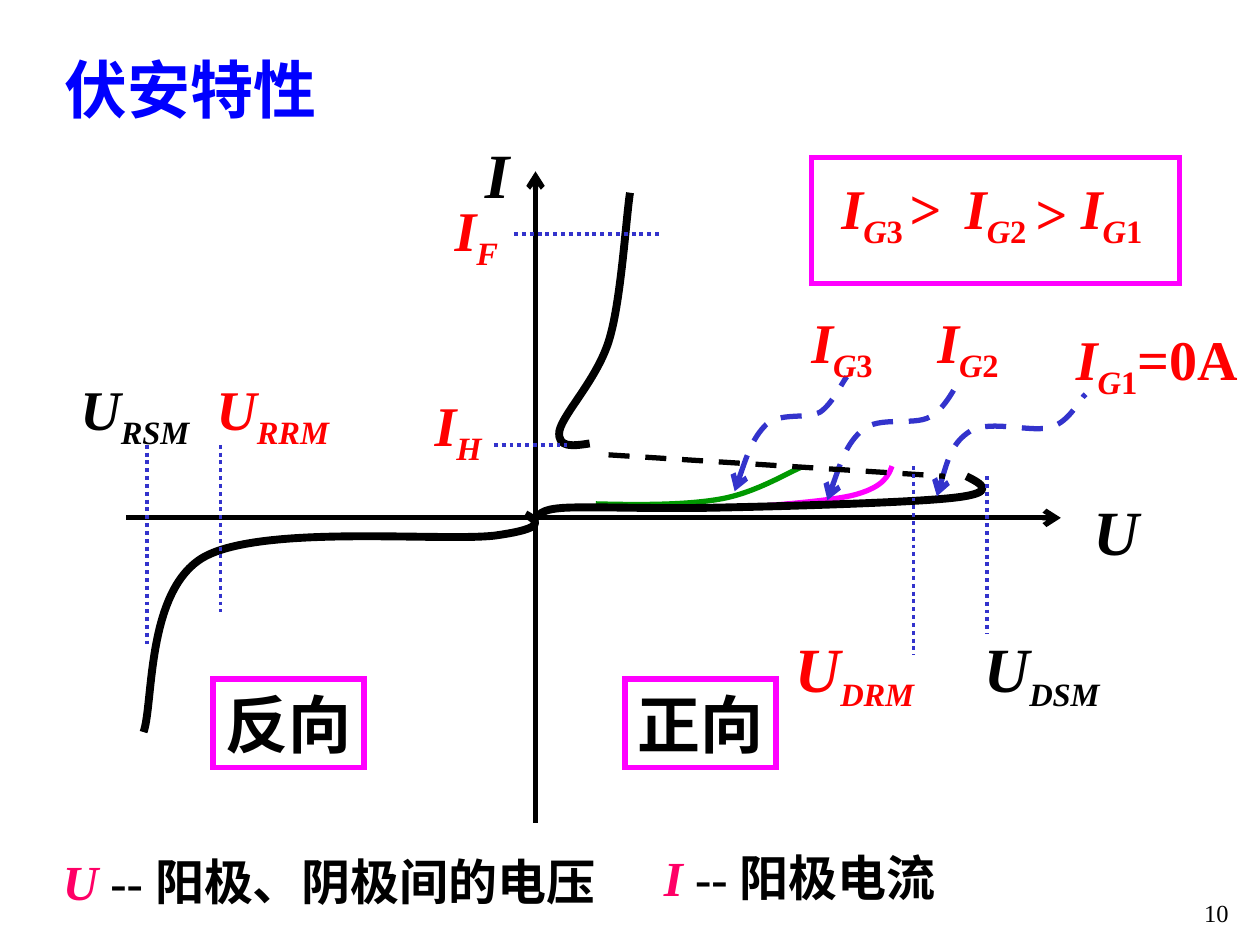
"""Draw the voltage-current curve of a thyristor."""
from dataclasses import dataclass
from math import cos, radians, sin
from typing import NamedTuple

from lxml import etree
from pptx import Presentation
from pptx import util as u
from pptx.dml.color import RGBColor
from pptx.enum import dml, shapes, text
from pptx.oxml import ns

HUES = {"black": "000000", "white": "FFFFFF", "red": "FF0000", "blue": "0000FF", "pink": "FF00FF",
        "rose": "FF0066", "green": "009900", "navy": "3333CC"}
DASH = dml.MSO_LINE.DASH
DOT = dml.MSO_LINE.ROUND_DOT
SLACK = 0.04


class Run(NamedTuple):
    word: str
    hue: str = "black"
    size: float = 32
    bold: bool = True
    slant: bool = False
    sub: bool = False


class Label(NamedTuple):
    box: tuple
    runs: list
    align: int = text.PP_ALIGN.LEFT


class Pen(NamedTuple):
    hue: str
    width: float
    dash: object = None
    end: str = ""


class Rule(NamedTuple):
    start: tuple
    stop: tuple
    pen: Pen


@dataclass
class Curve:
    pen: Pen
    points: list
    turn: float = 0
    mid: tuple = (0, 0)


def sym(main: str, sub: str = "", digit: str = "", tail: str = "", hue: str = "red",
        size: float = 32) -> list:
    runs = [Run(main, hue, size, slant=True), Run(sub, hue, slant=True, sub=True),
            Run(digit, hue, sub=True), Run(tail, hue)]
    return [run for run in runs if run.word]


def tint(hue: str) -> RGBColor:
    return RGBColor.from_string(HUES[hue])


def stroke(shape, pen: Pen) -> None:
    line = shape.line
    line.color.rgb = tint(pen.hue)
    for key, value in {"width": u.Pt(pen.width), "dash_style": pen.dash}.items():
        setattr(line, key, value)
    if pen.end:
        etree.SubElement(line._get_or_add_ln(), ns.qn("a:" + pen.end), type="arrow")


def write(shape, label: Label, wrap: bool = False) -> None:
    frame = shape.text_frame
    form = {"word_wrap": wrap, "vertical_anchor": text.MSO_ANCHOR.TOP,
            "auto_size": text.MSO_AUTO_SIZE.NONE if wrap else text.MSO_AUTO_SIZE.SHAPE_TO_FIT_TEXT}
    for key, value in form.items():
        setattr(frame, key, value)
    para = frame.paragraphs[0]
    para.alignment = label.align
    for item in label.runs:
        run = para.add_run()
        run.text = item.word
        form = {"name": "Times New Roman", "size": u.Pt(item.size),
                "bold": item.bold, "italic": item.slant}
        for key, value in form.items():
            setattr(run.font, key, value)
        run.font.color.rgb = tint(item.hue)
        if item.sub:
            run._r.get_or_add_rPr().set("baseline", "-25000")


def add_label(slide, label: Label) -> None:
    left, top, width, height = label.box
    box = (left, top, width + SLACK, height)
    write(slide.shapes.add_textbox(*map(u.Inches, box)), label)


def add_frame(slide, box: tuple):
    rect = slide.shapes.add_shape(shapes.MSO_SHAPE.RECTANGLE, *map(u.Inches, box))
    rect.shadow.inherit = False
    rect.fill.solid()
    rect.fill.fore_color.rgb = tint("white")
    stroke(rect, Pen("pink", 3))
    etree.SubElement(rect.line._get_or_add_ln(), ns.qn("a:miter"), lim="800000")
    return rect


def add_rule(slide, rule: Rule) -> None:
    line = slide.shapes.add_connector(shapes.MSO_CONNECTOR.STRAIGHT,
                                      *map(u.Inches, rule.start + rule.stop))
    stroke(line, rule.pen)
    etree.SubElement(line._element.spPr, ns.qn("a:effectLst"))


def add_curve(slide, curve: Curve) -> None:
    turn, (cx, cy) = radians(curve.turn), curve.mid
    spots = [(u.Inches(cx + (x - cx) * cos(turn) + (y - cy) * sin(turn)),
              u.Inches(cy - (x - cx) * sin(turn) + (y - cy) * cos(turn)))
             for x, y in curve.points]
    pen = slide.shapes.build_freeform(*spots[0], scale=1.0)
    shape = pen.add_line_segments(spots[1:], close=False).convert_to_shape()
    legs = list(shape._element.iter(ns.qn("a:lnTo")))
    for first, second, third in zip(legs[::3], legs[1::3], legs[2::3]):
        first.tag = ns.qn("a:cubicBezTo")
        for leg in (second, third):
            first.append(leg[0])
            leg.getparent().remove(leg)
    shape.rotation = curve.turn
    shape.shadow.inherit = False
    shape.fill.background()
    stroke(shape, curve.pen)


THICK = Pen("black", 4.5)
DOTS = Pen("navy", 2.25, DOT)
ARROW = Pen("navy", 3, DASH, "headEnd")
CURVES = [
    Curve(Pen("pink", 3), [(7.08, 3.7), (7.05, 3.78), (7.01, 3.86), (6.81, 3.92),
                           (6.62, 3.98), (6.07, 4.01), (5.92, 4.03)]),
    Curve(Pen("green", 3), [(4.73, 4), (5.09, 4.01), (5.46, 4.01), (5.73, 3.96),
                            (6, 3.91), (6.26, 3.75), (6.36, 3.71)], 15, (5.54, 3.86)),
    Curve(THICK, [(4.17, 4.08), (4.26, 4.13), (4.36, 4.19), (3.93, 4.25), (3.51, 4.3),
                  (2.09, 4.16), (1.62, 4.42), (1.16, 4.68), (1.22, 5.58), (1.14, 5.81)],
          355.8, (2.74, 4.9)),
    Curve(THICK, [(4.68, 3.52), (4.55, 3.54), (4.42, 3.56), (4.44, 3.42), (4.47, 3.28),
                  (4.75, 3), (4.84, 2.68), (4.93, 2.37), (4.97, 1.72), (5, 1.53)]),
    Curve(THICK, [(7.67, 3.78), (7.79, 3.84), (7.92, 3.91), (7.58, 3.95), (7.25, 3.99),
                  (6.18, 4.02), (5.67, 4.03), (5.15, 4.04), (4.74, 4.02), (4.5, 4.03),
                  (4.26, 4.04), (4.29, 4.1), (4.25, 4.11)]),
    Curve(ARROW, [(6.57, 3.97), (6.65, 3.74), (6.72, 3.52), (6.85, 3.41), (6.98, 3.3),
                  (7.25, 3.38), (7.38, 3.31), (7.5, 3.25), (7.58, 3.07), (7.62, 3.02)],
          20, (7.09, 3.5)),
    Curve(ARROW, [(7.44, 3.94), (7.5, 3.73), (7.56, 3.51), (7.71, 3.42), (7.87, 3.33),
                  (8.2, 3.44), (8.35, 3.39), (8.5, 3.34), (8.57, 3.17), (8.62, 3.13)],
          20, (8.01, 3.54)),
    Curve(ARROW, [(5.83, 3.9), (5.9, 3.69), (5.97, 3.48), (6.08, 3.37), (6.19, 3.27),
                  (6.4, 3.33), (6.51, 3.27), (6.61, 3.2), (6.68, 3.04), (6.72, 2.99)],
          20, (6.27, 3.44)),
]
RULES = [
    Rule((4.83, 3.61), (7.5, 3.78), Pen("black", 3, DASH)),
    Rule((4.25, 1.36), (4.25, 6.53), Pen("black", 3, end="headEnd")),
    Rule((1, 4.11), (8.42, 4.11), Pen("black", 3, end="tailEnd")),
    *[Rule((x, top), (x, foot), DOTS) for x, top, foot in
      [(1.17, 3.53, 5.11), (7.83, 3.78, 5.03), (1.75, 3.53, 4.86), (7.25, 3.7, 5.2)]],
    *[Rule((left, y), (right, y), DOTS) for left, right, y in
      [(3.92, 4.5, 3.53), (4.08, 5.25, 1.86)]],
]
LABELS = [
    Label((8.58, 3.86, 0.67, 0.7), sym("U", hue="black", size=36)),
    Label((3.75, 1.03, 0.39, 0.7), sym("I", hue="black", size=36)),
    Label((0.54, 2.92, 1.06, 0.71), sym("U", "RSM", hue="black")),
    Label((1.62, 2.92, 1.09, 0.71), sym("U", "RRM")),
    Label((7.71, 4.95, 1.11, 0.77), sym("U", "DSM", hue="black", size=36)),
    Label((6.21, 4.95, 1.14, 0.77), sym("U", "DRM", size=36)),
    Label((3.35, 3.05, 0.57, 0.71), sym("I", "H")),
    Label((3.51, 1.5, 0.54, 0.71), sym("I", "F")),
    Label((8.44, 2.53, 1.48, 0.71), sym("I", "G", "1", "=0A")),
    *[Label((x, y, 0.68, 0.71), sym("I", "G", digit)) for x, y, digit in
      [(7.34, 2.39, "2"), (6.34, 2.39, "3"),
       (6.58, 1.33, "3"), (7.56, 1.33, "2"), (8.48, 1.33, "1")]],
    *[Label((x, y, 0.45, 0.64), [Run(">", "red")]) for x, y in [(7.12, 1.33), (8.12, 1.37)]],
    Label((0.4, 6.71, 4.52, 0.57),
          [Run("U", "rose", 28, slant=True), Run(" -- 阳极、阴极间的电压", size=28)]),
    Label((5.17, 6.68, 2.45, 0.57),
          [Run("I", "rose", 28, slant=True), Run(" -- 阳极电流", size=28)]),
]


def main() -> None:
    deck = Presentation()
    deck.slide_width, deck.slide_height = u.Inches(10), u.Inches(7.5)
    slide = deck.slides.add_slide(deck.slide_layouts[5])
    title = slide.shapes.title
    box = (0.41, 0.35, 3.99, 0.7)
    for key, value in zip(("left", "top", "width", "height"), box):
        setattr(title, key, u.Inches(value))
    write(title, Label(box, [Run("伏安特性", "blue", 36)]), wrap=True)
    for curve in CURVES:
        add_curve(slide, curve)
    for rule in RULES:
        add_rule(slide, rule)
    add_frame(slide, (6.44, 1.25, 2.92, 1))
    for x, word in [(4.96, "正向"), (1.69, "反向")]:
        box = (x, 5.39, 1.2, 0.7)
        write(add_frame(slide, box), Label(box, [Run(word, size=36)]))
    for label in LABELS:
        add_label(slide, label)
    page = Label((7.77, 7.08, 2.08, 0.5), [Run("10", size=14, bold=False)], text.PP_ALIGN.RIGHT)
    write(slide.shapes.add_textbox(*map(u.Inches, page.box)), page, wrap=True)
    deck.save("out.pptx")


if __name__ == "__main__":
    main()
